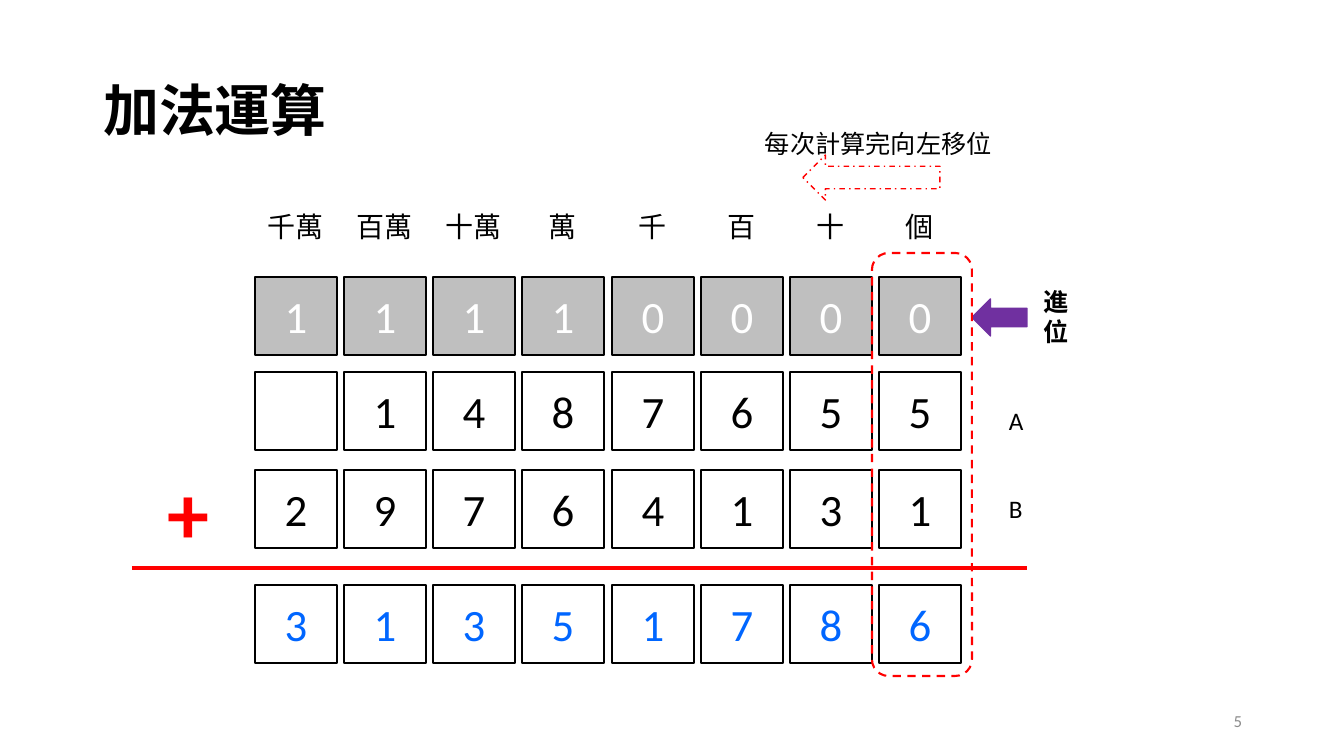
from dataclasses import dataclass

from pptx import Presentation
from pptx.dml.color import RGBColor
from pptx.enum.dml import MSO_LINE
from pptx.enum.shapes import MSO_CONNECTOR, MSO_SHAPE
from pptx.enum.text import MSO_ANCHOR, PP_ALIGN
from pptx.oxml.ns import qn
from pptx.util import Pt
from lxml.etree import SubElement

EMU_PER_PX = 914400 / 100.8


@dataclass(frozen=True)
class Theme:
    font: str = "Calibri"
    black: str = "000000"
    white: str = "FFFFFF"
    red: str = "FF0000"
    blue: str = "0066FF"
    purple: str = "7030A0"
    carry_gray: str = "BFBFBF"
    number_gray: str = "8C8C8C"
    title: int = 40
    plus: int = 60
    digit: int = 32
    place: int = 20
    label: int = 18
    number: int = 12


theme = Theme()


def px(*lengths):
    """Turn pixel lengths into EMU."""
    return [round(length * EMU_PER_PX) for length in lengths]


def write(shape, text, size, color=theme.black, bold=False,
          align=PP_ALIGN.LEFT, anchor=MSO_ANCHOR.TOP, wrap=True):
    """Fill a shape with text in one format."""
    frame = shape.text_frame
    frame.text = text
    frame.word_wrap = wrap
    frame.vertical_anchor = anchor
    for paragraph in frame.paragraphs:
        paragraph.alignment = align
        font_format = {"name": theme.font, "size": Pt(size), "bold": bold}
        for run in paragraph.runs:
            for key, value in font_format.items():
                setattr(run.font, key, value)
            run.font.color.rgb = RGBColor.from_string(color)


prs = Presentation()
prs.slide_width, prs.slide_height = px(1344, 756)
slide = prs.slides.add_slide(prs.slide_layouts[5])
shapes = slide.shapes

title = shapes.title
title.left, title.top, title.width, title.height = px(93, 40, 1159, 146)
write(title, "加法運算", theme.title, bold=True, anchor=MSO_ANCHOR.MIDDLE)
title.text_frame.paragraphs[0].line_spacing = 0.9

# Digit grid: one column per decimal place
places = ["千萬", "百萬", "十萬", "萬", "千", "百", "十", "個"]
digit_rows = [
    (277, "11110000", theme.carry_gray, theme.white),
    (372, " 1487655", theme.white, theme.black),
    (470, "29764131", theme.white, theme.black),
    (585, "31351786", theme.white, theme.blue),
]
first_left, last_left = 255, 879
pitch = (last_left - first_left) / (len(places) - 1)
cell_width, cell_height = 82, 78
centered = {"align": PP_ALIGN.CENTER, "anchor": MSO_ANCHOR.MIDDLE}

for column, place in enumerate(places):
    left = round(first_left + column * pitch)
    heading = shapes.add_textbox(*px(left, 187, cell_width, cell_height))
    write(heading, place, theme.place, **centered)
    for top, digits, fill, color in digit_rows:
        cell = shapes.add_shape(MSO_SHAPE.RECTANGLE,
                                *px(left, top, cell_width, cell_height))
        cell.shadow.inherit = False
        cell.fill.solid()
        cell.fill.fore_color.rgb = RGBColor.from_string(fill)
        cell.line.color.rgb = RGBColor.from_string(theme.black)
        cell.line.width = Pt(1.5)
        write(cell, digits[column].strip(), theme.digit, color, **centered)

sum_line = shapes.add_connector(MSO_CONNECTOR.STRAIGHT, *px(132, 568, 1027, 568))
sum_line.line.color.rgb = RGBColor.from_string(theme.red)
sum_line.line.width = Pt(3)
SubElement(sum_line.element.spPr, qn("a:effectLst"))

# Carry arrow, current column frame and shift arrow
markers = [
    (MSO_SHAPE.LEFT_ARROW, (972, 299, 55, 37), theme.purple, theme.purple, 1, None),
    (MSO_SHAPE.ROUNDED_RECTANGLE, (872, 253, 100, 423), None, theme.red, 1.5,
     MSO_LINE.DASH),
    (MSO_SHAPE.LEFT_ARROW, (803, 155, 137, 45), theme.white, theme.red, 1,
     MSO_LINE.DASH_DOT),
]
for preset, box, fill, color, weight, dash in markers:
    marker = shapes.add_shape(preset, *px(*box))
    marker.shadow.inherit = False
    if fill:
        marker.fill.solid()
        marker.fill.fore_color.rgb = RGBColor.from_string(fill)
    else:
        marker.fill.background()
    marker.line.color.rgb = RGBColor.from_string(color)
    marker.line.width = Pt(weight)
    marker.line.dash_style = dash

labels = [
    ((158, 456, 62, 112), "+", theme.plus, theme.red, True),
    ((1034, 281, 45, 72), "進\n位", theme.label, theme.black, True),
    ((999, 400, 35, 40), "A", theme.label, theme.black, False),
    ((999, 488, 34, 40), "B", theme.label, theme.black, False),
    ((755, 123, 249, 40), "每次計算完向左移位", theme.label, theme.black, False),
]
for box, text, size, color, bold in labels:
    write(shapes.add_textbox(*px(*box)), text, size, color, bold, wrap=False)

page_number = shapes.add_textbox(*px(950, 701, 302, 40))
write(page_number, "5", theme.number, theme.number_gray,
      align=PP_ALIGN.RIGHT, anchor=MSO_ANCHOR.MIDDLE)

prs.save("out.pptx")
